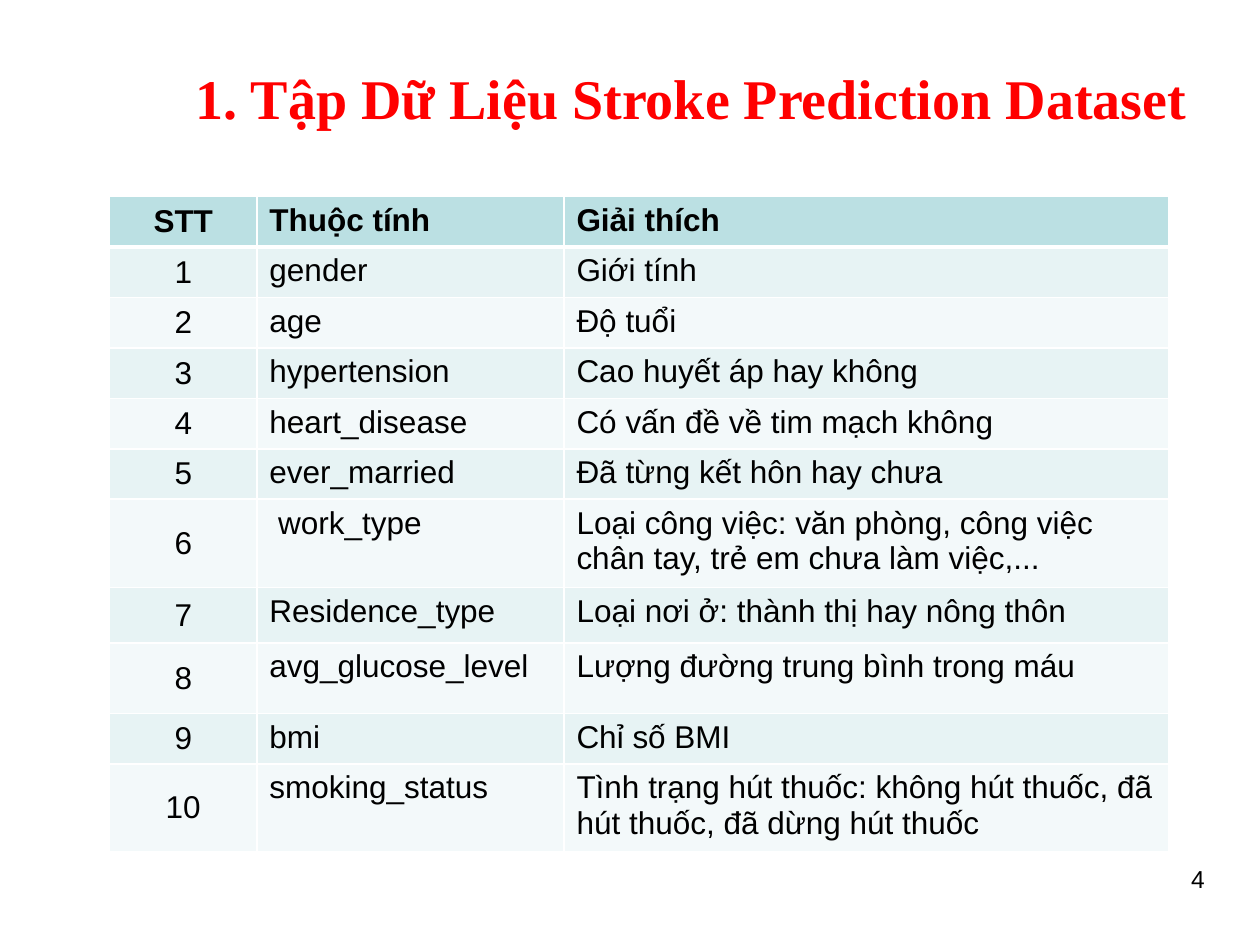
import dataclasses

import lxml.etree
import pptx
import pptx.dml.color
import pptx.enum.text
import pptx.oxml.ns
import pptx.util

ALIGN = pptx.enum.text.PP_ALIGN
ANCHOR = pptx.enum.text.MSO_ANCHOR


@dataclasses.dataclass(frozen=True)
class Theme:
    title_font: str = "Times New Roman"
    body_font: str = "Arial"
    title_size: int = 32
    body_size: int = 18
    number_size: int = 14
    title_color: str = "FF0000"
    text_color: str = "000000"
    header_fill: str = "BBE0E3"
    band_fills: tuple = ("E7F3F4", "F3F9FA")
    border_color: str = "FFFFFF"
    border_width: int = 1
    header_border_width: int = 3


THEME = Theme()
SLIDE_WIDTH, SLIDE_HEIGHT = 10, 7.5
TITLE_BOX = (1.45, 0.45, 8.19, 0.64)
TABLE_BOX = (0.87, 1.56, 8.41, 5.2)
NUMBER_BOX = (7.33, 6.81, 2.33, 0.61)
COLUMN_SHARES = (1.17, 2.44, 4.81)
ROW_SHARES = (0.4,) * 6 + (0.7, 0.44, 0.56, 0.4, 0.7)

HEADER = ("STT", "Thuộc tính", "Giải thích")
ATTRIBUTES = (
    ("gender", "Giới tính"),
    ("age", "Độ tuổi"),
    ("hypertension", "Cao huyết áp hay không"),
    ("heart_disease", "Có vấn đề về tim mạch không"),
    ("ever_married", "Đã từng kết hôn hay chưa"),
    (" work_type", "Loại công việc: văn phòng, công việc chân tay, trẻ em chưa làm việc,..."),
    ("Residence_type", "Loại nơi ở: thành thị hay nông thôn"),
    ("avg_glucose_level", "Lượng đường trung bình trong máu"),
    ("bmi", "Chỉ số BMI"),
    ("smoking_status", "Tình trạng hút thuốc: không hút thuốc, đã hút thuốc, đã dừng hút thuốc"),
)


def inches(box):
    return [pptx.util.Inches(length) for length in box]


def write(frame, text, size=THEME.body_size, font=THEME.body_font,
          color=THEME.text_color, bold=False, align=ALIGN.LEFT, anchor=ANCHOR.TOP):
    frame.word_wrap = True
    frame.vertical_anchor = anchor
    paragraph = frame.paragraphs[0]
    paragraph.alignment = align
    run = paragraph.add_run()
    run.text = text
    run.font.size = pptx.util.Pt(size)
    run.font.name = font
    run.font.bold = bold
    run.font.color.rgb = pptx.dml.color.RGBColor.from_string(color)


def add_borders(cell, top, bottom):
    side = THEME.border_width
    widths = {"a:lnL": side, "a:lnR": side, "a:lnT": top, "a:lnB": bottom}
    properties = cell._tc.get_or_add_tcPr()
    for position, (tag, width) in enumerate(widths.items()):
        line = lxml.etree.Element(pptx.oxml.ns.qn(tag), w=str(pptx.util.Pt(width)))
        fill = lxml.etree.SubElement(line, pptx.oxml.ns.qn("a:solidFill"))
        lxml.etree.SubElement(fill, pptx.oxml.ns.qn("a:srgbClr"), val=THEME.border_color)
        properties.insert(position, line)


def place_title(slide, box):
    title = slide.shapes.title
    title.left, title.top, title.width, title.height = inches(box)
    write(title.text_frame, "1. Tập Dữ Liệu Stroke Prediction Dataset ",
          size=THEME.title_size, font=THEME.title_font, color=THEME.title_color,
          bold=True, align=ALIGN.CENTER)
    title.text_frame.auto_size = pptx.enum.text.MSO_AUTO_SIZE.SHAPE_TO_FIT_TEXT


def place_attribute_table(slide, box):
    records = [HEADER] + [(str(number), *attribute)
                          for number, attribute in enumerate(ATTRIBUTES, 1)]
    table = slide.shapes.add_table(len(records), len(HEADER), *inches(box)).table
    for column, share in zip(table.columns, COLUMN_SHARES):
        column.width = pptx.util.Inches(box[2] * share / sum(COLUMN_SHARES))
    for row, share in zip(table.rows, ROW_SHARES):
        row.height = pptx.util.Inches(box[3] * share / sum(ROW_SHARES))

    for row_index, record in enumerate(records):
        is_header = row_index == 0
        fill = THEME.header_fill if is_header else THEME.band_fills[(row_index - 1) % 2]
        top = THEME.header_border_width if row_index == 1 else THEME.border_width
        bottom = THEME.header_border_width if is_header else THEME.border_width
        for column_index, text in enumerate(record):
            cell = table.cell(row_index, column_index)
            is_number = column_index == 0
            cell.fill.solid()
            cell.fill.fore_color.rgb = pptx.dml.color.RGBColor.from_string(fill)
            write(cell.text_frame, text, bold=is_header,
                  align=ALIGN.CENTER if is_number else ALIGN.LEFT)
            cell.vertical_anchor = ANCHOR.MIDDLE if is_number else ANCHOR.TOP
            add_borders(cell, top, bottom)


def place_slide_number(slide, box):
    number = slide.shapes.add_textbox(*inches(box))
    write(number.text_frame, "4", size=THEME.number_size, align=ALIGN.RIGHT)


def main():
    presentation = pptx.Presentation()
    presentation.slide_width = pptx.util.Inches(SLIDE_WIDTH)
    presentation.slide_height = pptx.util.Inches(SLIDE_HEIGHT)
    slide = presentation.slides.add_slide(presentation.slide_layouts.get_by_name("Title Only"))
    place_title(slide, TITLE_BOX)
    place_slide_number(slide, NUMBER_BOX)
    place_attribute_table(slide, TABLE_BOX)
    presentation.save("out.pptx")


if __name__ == "__main__":
    main()
